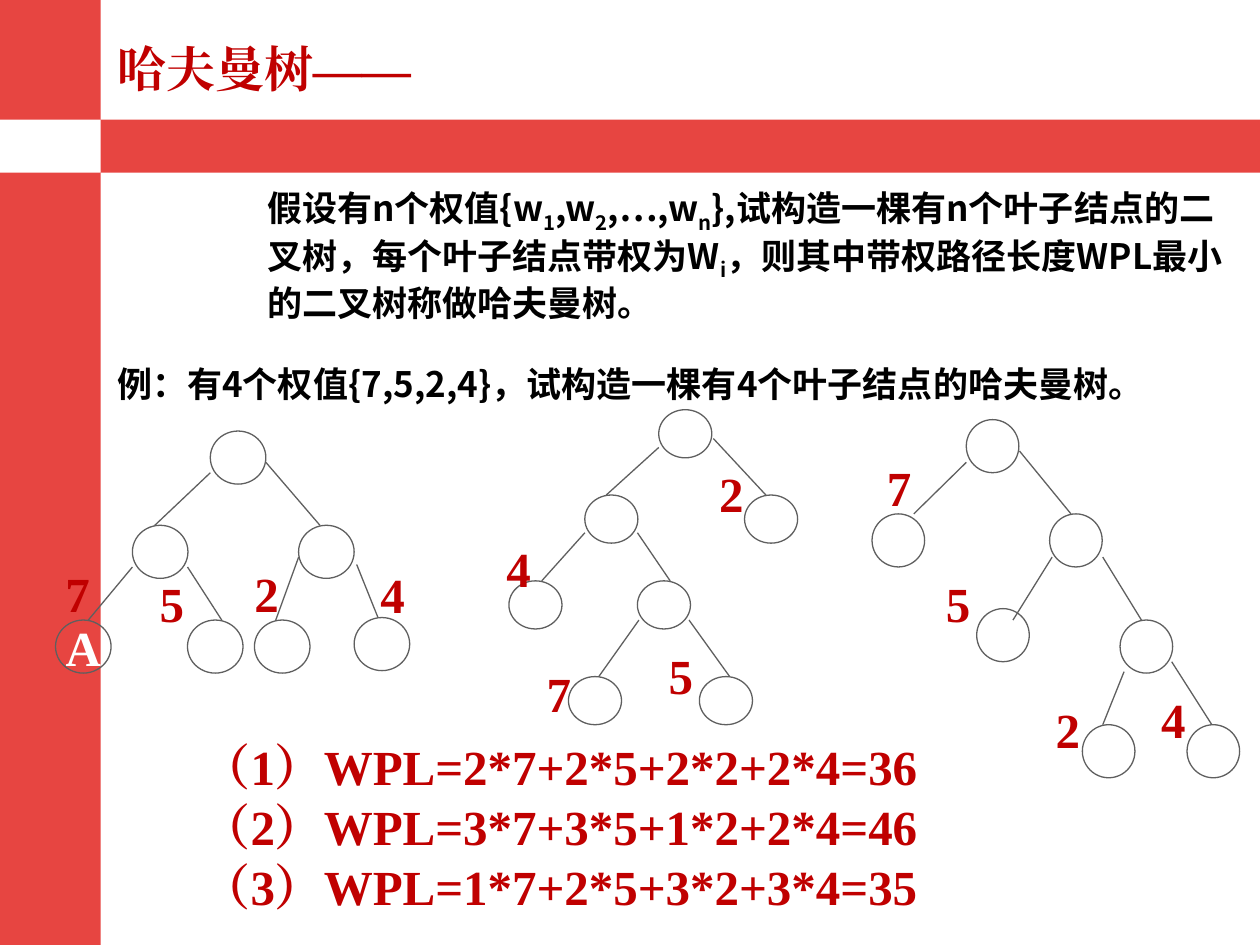
"""Build a slide that compares three binary trees and their weighted path lengths."""
import pptx
import pptx.dml.color
import pptx.enum.shapes
import pptx.enum.text
import pptx.oxml
import pptx.oxml.ns
import pptx.util

Cm = pptx.util.Cm
Pt = pptx.util.Pt
COLORS = {"red": "E74541", "white": "FFFFFF", "dark_red": "C00000",
          "black": "000000", "outline": "5F5F5F"}
SERIF = "Times New Roman"
SANS = "Noto Sans CJK SC"

TREES = [
    {"node_size": (1.12, 1.07),
     "nodes": [(4.24, 8.69), (2.67, 10.59), (6.02, 10.59), (1.12, 12.5, "A"),
               (3.78, 12.5), (5.13, 12.5), (7.14, 12.45)],
     "edges": [(4.24, 9.53, 3.12, 10.59), (5.36, 9.32, 6.45, 10.59),
               (2.67, 11.43, 1.78, 12.5), (3.78, 11.43, 4.47, 12.5),
               (6.02, 11.23, 5.56, 12.5), (7.19, 11.38, 7.62, 12.45)],
     "weights": [("7", 1.07, 11.23, 1.27), ("5", 2.97, 11.43, 1.07),
                 ("2", 4.88, 11.23, 2.11), ("4", 7.42, 11.25, 1.7)]},
    {"node_size": (1.07, 0.97),
     "nodes": [(13.28, 8.26), (11.79, 9.98), (15.01, 9.98), (10.26, 11.71),
               (12.85, 11.71), (11.46, 13.64), (14.1, 13.64)],
     "edges": [(13.28, 9.02, 12.22, 9.98), (14.38, 8.84, 15.44, 9.98),
               (11.79, 10.74, 10.92, 11.71), (12.85, 10.74, 13.51, 11.71),
               (12.88, 12.5, 12.07, 13.64), (13.89, 12.5, 14.71, 13.64)],
     "weights": [("7", 10.77, 13.26, 1.02), ("5", 13.23, 12.88, 1.22),
                 ("2", 14.25, 9.22, 1.22), ("4", 9.96, 10.74, 1.22)]},
    {"node_size": (1.06, 1.07),
     "nodes": [(19.48, 8.46), (17.58, 10.36), (21.16, 10.36), (19.69, 12.27),
               (22.58, 12.5), (21.82, 14.61), (23.93, 14.61)],
     "edges": [(19.48, 9.32, 18.42, 10.36), (20.55, 9.09, 21.59, 10.36),
               (21.21, 11.23, 20.42, 12.5), (22.23, 11.23, 23.01, 12.5),
               (22.66, 13.54, 22.23, 14.61), (23.62, 13.34, 24.43, 14.61)],
     "weights": [("7", 17.63, 9.09, 0.99), ("5", 18.82, 11.43, 1.19),
                 ("2", 21.03, 13.97, 1.19), ("4", 23.16, 13.77, 1.19)]},
]
DEFINITION = [("假设有n个权值{w", "1"), (",w", "2"), (",…,w", "n"),
              ("},试构造一棵有n个叶子结点的二叉树，每个叶子结点带权为W", "i"),
              ("，则其中带权路径长度WPL最小的二叉树称做哈夫曼树。", "")]
PATH_LENGTHS = ["（1）WPL=2*7+2*5+2*2+2*4=36",
                "（2）WPL=3*7+3*5+1*2+2*4=46",
                "（3）WPL=1*7+2*5+3*2+3*4=35"]


def rgb(name):
    return pptx.dml.color.RGBColor.from_string(COLORS[name])


def write_text(paragraph, text, size=28, font=SERIF, color="dark_red", subscript=False):
    run = paragraph.add_run()
    run.text = text
    run.font.size = Pt(size)
    run.font.name = font
    run.font.bold = True
    run.font.color.rgb = rgb(color)
    properties = run.font._element
    if subscript:
        properties.set("baseline", "-25000")
    east_asian = pptx.oxml.parse_xml(
        f'<a:ea {pptx.oxml.ns.nsdecls("a")} typeface="{font}"/>')
    properties.find(pptx.oxml.ns.qn("a:latin")).addnext(east_asian)


class SlideBuilder:
    def __init__(self, presentation):
        self.slide = presentation.slides.add_slide(presentation.slide_layouts[3])
        self.shapes = self.slide.shapes

    def start_tree(self):
        self.shapes = self.slide.shapes.add_group_shape().shapes

    def end_tree(self):
        self.shapes = self.slide.shapes

    def rectangle(self, left, top, width, height, color):
        shape = self.shapes.add_shape(pptx.enum.shapes.MSO_SHAPE.RECTANGLE,
                                      Cm(left), Cm(top), Cm(width), Cm(height))
        shape.shadow.inherit = False
        shape.fill.solid()
        shape.fill.fore_color.rgb = rgb(color)
        shape.line.fill.background()

    def node(self, left, top, width, height, text=""):
        shape = self.shapes.add_shape(pptx.enum.shapes.MSO_SHAPE.OVAL,
                                      Cm(left), Cm(top), Cm(width), Cm(height))
        shape.shadow.inherit = False
        shape.fill.background()
        shape.line.color.rgb = rgb("outline")
        shape.line.width = Pt(0.75)
        if text:
            shape.text_frame.word_wrap = False
            write_text(shape.text_frame.paragraphs[0], text, color="white")

    def edge(self, *ends):
        connector = self.shapes.add_connector(
            pptx.enum.shapes.MSO_CONNECTOR.STRAIGHT, *map(Cm, ends))
        connector.line.color.rgb = rgb("outline")
        connector.line.width = Pt(0.75)
        connector._element.spPr.append(
            pptx.oxml.parse_xml(f'<a:effectLst {pptx.oxml.ns.nsdecls("a")}/>'))

    def text_box(self, text, left, top, width, height, **text_format):
        box = self.shapes.add_textbox(Cm(left), Cm(top), Cm(width), Cm(height))
        box.text_frame.word_wrap = True
        write_text(box.text_frame.paragraphs[0], text, **text_format)

    def placeholder(self, index, left, top, width, height):
        shape = self.slide.placeholders[index]
        shape.left, shape.top, shape.width, shape.height = map(
            Cm, (left, top, width, height))
        frame = shape.text_frame
        frame.word_wrap = True
        frame.auto_size = pptx.enum.text.MSO_AUTO_SIZE.NONE
        frame.vertical_anchor = pptx.enum.text.MSO_ANCHOR.TOP
        return frame

    def plain_paragraph(self, frame, first, space_before, line_spacing=1.0):
        paragraph = frame.paragraphs[0] if first else frame.add_paragraph()
        paragraph.alignment = pptx.enum.text.PP_ALIGN.LEFT
        paragraph.space_before = Pt(space_before)
        paragraph.line_spacing = line_spacing
        properties = paragraph._element.get_or_add_pPr()
        properties.set("marL", "0")
        properties.set("indent", "0")
        properties.append(
            pptx.oxml.parse_xml(f'<a:buNone {pptx.oxml.ns.nsdecls("a")}/>'))
        return paragraph

    def tree(self, node_size, nodes, edges, weights):
        self.start_tree()
        for ends in edges:
            self.edge(*ends)
        for left, top, *letter in nodes:
            self.node(left, top, *node_size, *letter)
        for weight, left, top, width in weights:
            self.text_box(weight, left, top, width, 1.45)
        self.end_tree()


def main():
    presentation = pptx.Presentation()
    presentation.slide_width = Cm(25.4)
    presentation.slide_height = Cm(19.05)
    builder = SlideBuilder(presentation)

    builder.rectangle(0, 0, 2.03, 19.05, "red")
    builder.rectangle(0, 2.41, 25.4, 1.07, "red")
    builder.rectangle(0, 2.41, 2.03, 1.07, "white")

    title = builder.placeholder(0, 2.11, 0.64, 10.36, 1.45)
    write_text(builder.plain_paragraph(title, True, 17.5), "哈夫曼树——")

    definition = builder.placeholder(1, 5.13, 3.63, 20.27, 3.02)
    paragraph = builder.plain_paragraph(definition, True, 12.5)
    body_format = {"size": 20, "font": SANS, "color": "black"}
    for text, subscript in DEFINITION:
        write_text(paragraph, text, **body_format)
        if subscript:
            write_text(paragraph, subscript, subscript=True, **body_format)

    builder.text_box("例：有4个权值{7,5,2,4}，试构造一棵有4个叶子结点的哈夫曼树。",
                     2.11, 7.19, 22.23, 1.12, **body_format)
    for tree in TREES:
        builder.tree(**tree)

    results = builder.placeholder(2, 3.81, 15.24, 16.71, 3.28)
    for number, text in enumerate(PATH_LENGTHS):
        write_text(builder.plain_paragraph(results, number == 0, 17.5, 0.5), text)

    presentation.save("out.pptx")


if __name__ == "__main__":
    main()
